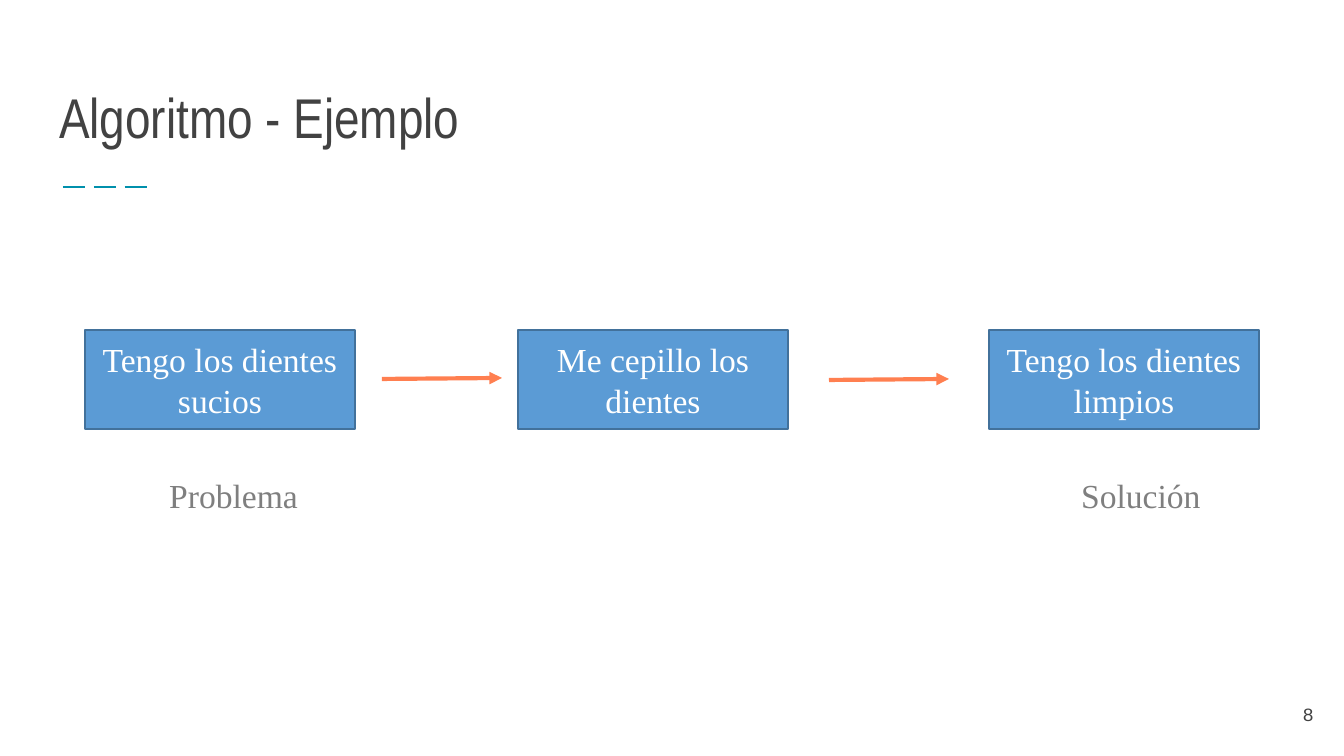
from dataclasses import dataclass

from lxml import etree
from pptx import Presentation
from pptx import util as u
from pptx.dml.color import RGBColor
from pptx.enum import dml, shapes, text
from pptx.oxml.ns import qn

PX = 914400 / 134.4  # EMU in one px

WHITE = RGBColor(0xFF, 0xFF, 0xFF)
DARK = RGBColor(0x42, 0x42, 0x42)
GRAY = RGBColor(0x7F, 0x7F, 0x7F)
BLUE = RGBColor(0x5B, 0x9B, 0xD5)
NAVY = RGBColor(0x42, 0x71, 0x9B)
TEAL = RGBColor(0x00, 0x90, 0xAC)
CORAL = RGBColor(0xFF, 0x7F, 0x50)

SERIF = "Times New Roman"
LEFT, CENTER, RIGHT = text.PP_ALIGN.LEFT, text.PP_ALIGN.CENTER, text.PP_ALIGN.RIGHT
TOP, MIDDLE, BOTTOM = text.MSO_ANCHOR.TOP, text.MSO_ANCHOR.MIDDLE, text.MSO_ANCHOR.BOTTOM


@dataclass(frozen=True)
class Style:
    font: str
    size: int
    color: RGBColor
    align: int = LEFT
    anchor: int = TOP
    inset: float = 0.05  # above and below, in inches


@dataclass(frozen=True)
class Area:
    left: int
    top: int
    width: int
    height: int


@dataclass(frozen=True)
class Step:
    left: int
    words: str


@dataclass(frozen=True)
class Rule:
    start: tuple[int, int]
    end: tuple[int, int]


TITLE = Style("Arial Narrow", 30, DARK, anchor=BOTTOM, inset=0.1)
NUMBER = Style("Courier New", 10, DARK, RIGHT, MIDDLE, 0.1)
BOX = Style(SERIF, 18, WHITE, CENTER, MIDDLE)
LABEL = Style(SERIF, 18, GRAY)

STEPS = [
    Step(85, "Tengo los dientes sucios"),
    Step(518, "Me cepillo los dientes"),
    Step(989, "Tengo los dientes limpios"),
]
LABELS = [Step(156, "Problema"), Step(1068, "Solución")]
ARROWS = [Rule((382, 379), (502, 378)), Rule((829, 380), (949, 379))]


def emu(*px: int) -> list[u.Emu]:
    return [u.Emu(round(n * PX)) for n in px]


def write(shape, words: str, style: Style) -> None:
    frame = shape.text_frame
    frame.text = words
    frame.word_wrap = True
    frame.vertical_anchor = style.anchor
    frame.margin_left = frame.margin_right = u.Inches(0.1)
    frame.margin_top = frame.margin_bottom = u.Inches(style.inset)
    for para in frame.paragraphs:
        para.alignment = style.align
        for run in para.runs:
            run.font.name = style.font
            run.font.size = u.Pt(style.size)
            run.font.color.rgb = style.color


def add_text(slide, area: Area, words: str, style: Style) -> None:
    box = slide.shapes.add_textbox(*emu(area.left, area.top, area.width, area.height))
    write(box, words, style)


def add_step(slide, step: Step) -> None:
    box = slide.shapes.add_shape(
        shapes.MSO_SHAPE.RECTANGLE, *emu(step.left, 330, 270, 99)
    )
    box.shadow.inherit = False
    box.fill.solid()
    box.fill.fore_color.rgb = BLUE
    box.line.color.rgb = NAVY
    box.line.width = u.Pt(1)
    write(box, step.words, BOX)


def add_rule(slide, rule: Rule, color: RGBColor, width: float):
    link = slide.shapes.add_connector(
        shapes.MSO_CONNECTOR.STRAIGHT, *emu(*rule.start, *rule.end)
    )
    link.line.color.rgb = color
    link.line.width = u.Pt(width)
    etree.SubElement(link._element.spPr, qn("a:effectLst"))
    return link


def add_arrow(slide, rule: Rule) -> None:
    link = add_rule(slide, rule, CORAL, 2.25)
    etree.SubElement(link.line._get_or_add_ln(), qn("a:tailEnd"), type="triangle")


def main() -> None:
    deck = Presentation()
    deck.slide_width, deck.slide_height = emu(1344, 756)
    slide = deck.slides.add_slide(deck.slide_layouts[6])

    dashes = add_rule(slide, Rule((63, 187), (153, 187)), TEAL, 1.5)
    dashes.line.dash_style = dml.MSO_LINE.LONG_DASH
    add_text(slide, Area(46, 55, 1253, 108), "Algoritmo - Ejemplo", TITLE)
    add_text(slide, Area(1246, 685, 81, 58), "8", NUMBER)

    for step in STEPS:
        add_step(slide, step)
    for arrow in ARROWS:
        add_arrow(slide, arrow)
    for label in LABELS:
        add_text(slide, Area(label.left, 468, 169, 39), label.words, LABEL)

    deck.save("out.pptx")


if __name__ == "__main__":
    main()
